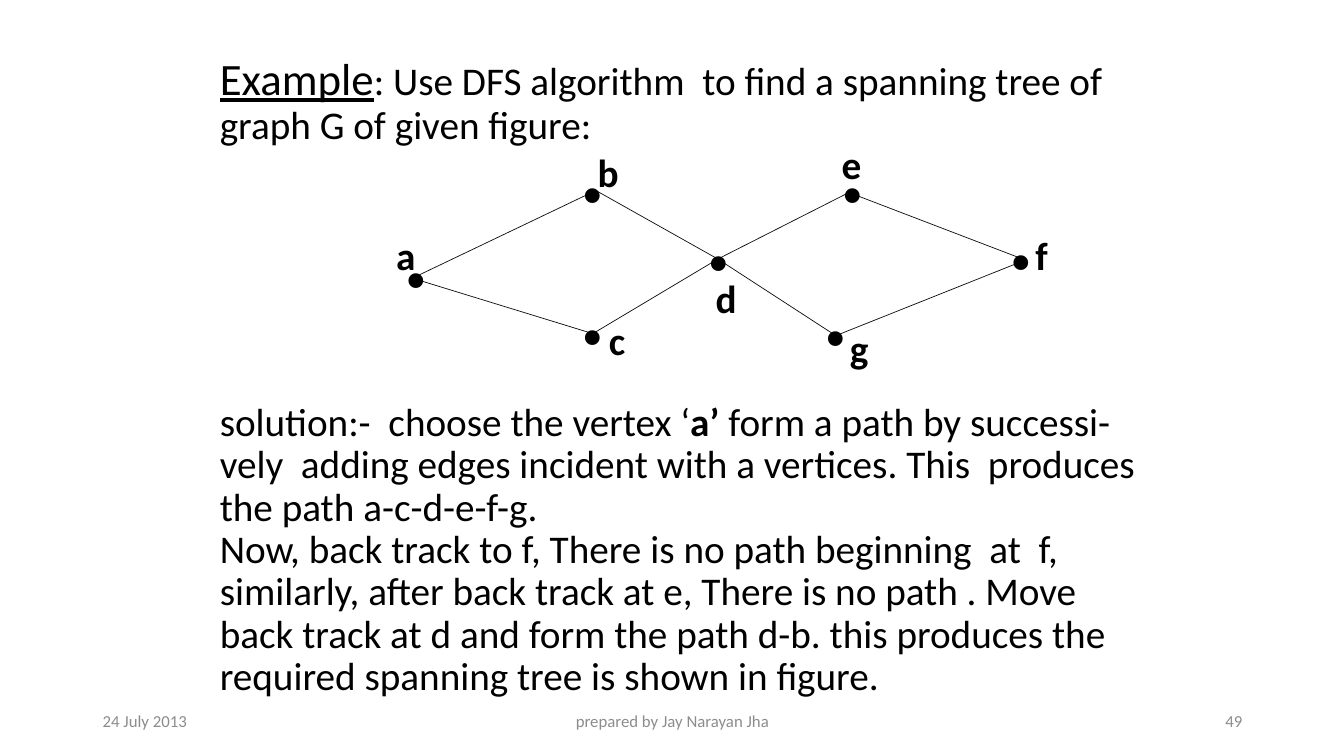
from lxml.etree import SubElement
from pptx import Presentation
from pptx.dml.color import RGBColor
from pptx.enum.shapes import MSO_CONNECTOR
from pptx.enum.text import MSO_ANCHOR, MSO_AUTO_SIZE, PP_ALIGN
from pptx.oxml.ns import qn
from pptx.util import Pt

PX = 9144  # 100 px to the inch
BLACK = RGBColor(0x00, 0x00, 0x00)
EDGE = RGBColor(0x0D, 0x0D, 0x0D)
GREY = RGBColor(0x8C, 0x8C, 0x8C)

presentation = Presentation()
presentation.slide_width = 1333 * PX
presentation.slide_height = 750 * PX
slide = presentation.slides.add_slide(presentation.slide_layouts[5])


def add_run(paragraph, text, size=28, font="Calibri", color=BLACK, bold=False, underline=False):
    run = paragraph.add_run()
    run.text = text
    run.font.size = Pt(size)
    run.font.name = font
    run.font.color.rgb = color
    run.font.bold = bold
    run.font.underline = underline


def add_label(text, left, top, width, height, align=PP_ALIGN.LEFT,
              anchor=MSO_ANCHOR.TOP, wrap=False, **run_format):
    box = slide.shapes.add_textbox(left * PX, top * PX, width * PX, height * PX)
    frame = box.text_frame
    frame.word_wrap = wrap
    frame.vertical_anchor = anchor
    frame.paragraphs[0].alignment = align
    add_run(frame.paragraphs[0], text, **run_format)


# Title holding the question and the solution, with room for the graph between
title = slide.shapes.title
title.left, title.top, title.width, title.height = 208 * PX, 25 * PX, 942 * PX, 700 * PX
title_frame = title.text_frame
title_frame.word_wrap = True
title_frame.auto_size = MSO_AUTO_SIZE.NONE
title_frame.vertical_anchor = MSO_ANCHOR.MIDDLE

title_paragraphs = [
    (0, [("Example", {"size": 32, "underline": True}),
         (": Use DFS algorithm  to find a spanning tree of graph G of given figure:", {})]),
    (182, [("solution:-  choose the vertex ‘", {}),
           ("a’", {"bold": True}),
           (" form a path by successi-", {})]),
    (0, [("vely  adding edges incident with a vertices. This  produces "
          "the path a-c-d-e-f-g.", {})]),
    (0, [("Now, back track to f, There is no path beginning  at  f, similarly, "
          "after back track at e, There is no path . Move back track at d and "
          "form the path d-b. this produces the required spanning tree is "
          "shown in figure.", {})]),
]
for index, (space_before, runs) in enumerate(title_paragraphs):
    paragraph = title_frame.add_paragraph() if index else title_frame.paragraphs[0]
    paragraph.alignment = PP_ALIGN.LEFT
    paragraph.line_spacing = 0.9
    paragraph.space_before = Pt(space_before)
    for text, run_format in runs:
        add_run(paragraph, text, **run_format)

# Graph vertices: edge end, dot box corner, name box corner
vertices = {
    "a": ((409, 276), (392, 233), (383, 225)),
    "b": ((591, 189), (567, 149), (583, 142)),
    "c": ((588, 331), (567, 290), (594, 309)),
    "d": ((712, 257), (692, 216), (700, 267)),
    "e": ((842, 191), (825, 149), (825, 134)),
    "f": ((1017, 258), (992, 215), (1017, 225)),
    "g": ((829, 333), (808, 291), (833, 317)),
}

# Edges
for start, end in ("ab", "ac", "bd", "cd", "de", "dg", "ef", "fg"):
    start_x, start_y = vertices[start][0]
    end_x, end_y = vertices[end][0]
    edge = slide.shapes.add_connector(
        MSO_CONNECTOR.STRAIGHT, start_x * PX, start_y * PX, end_x * PX, end_y * PX)
    edge.line.color.rgb = EDGE
    edge.line.width = Pt(0.5)
    SubElement(edge._element.spPr, qn("a:effectLst"))

# Dots and vertex names
for name, (_, dot, corner) in vertices.items():
    add_label("•", *dot, 42, 84, size=44, font="Times New Roman")
    add_label(name, *corner, 40, 57, bold=True)

# Footer
for text, left, width, align in (
    ("24 July 2013", 92, 300, PP_ALIGN.LEFT),
    ("prepared by Jay Narayan Jha", 442, 450, PP_ALIGN.CENTER),
    ("49", 942, 300, PP_ALIGN.RIGHT),
):
    add_label(text, left, 695, width, 40, align=align, anchor=MSO_ANCHOR.MIDDLE,
              wrap=True, size=12, color=GREY)

presentation.save("out.pptx")
